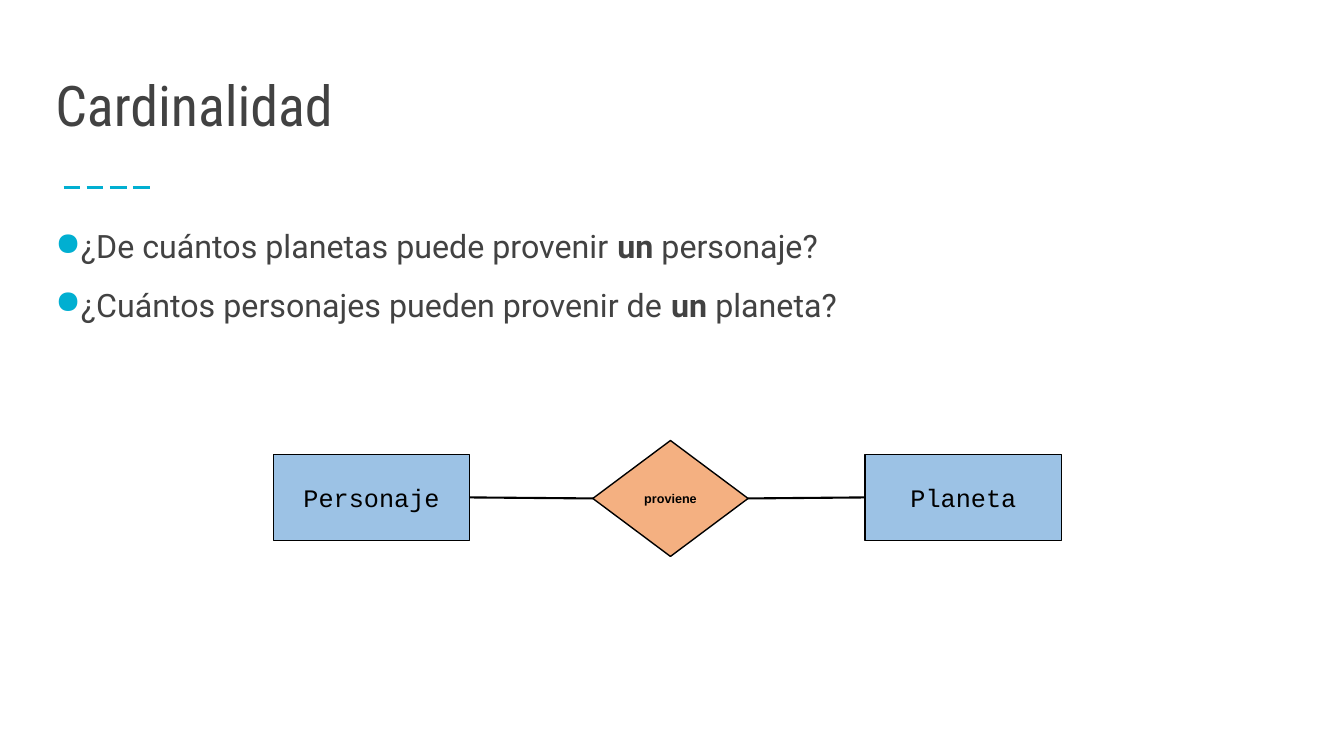
import lxml.etree
import pptx
import pptx.dml.color
import pptx.enum.dml
import pptx.enum.shapes
import pptx.enum.text
import pptx.oxml.ns
import pptx.util

Inches = pptx.util.Inches
Pt = pptx.util.Pt
RGBColor = pptx.dml.color.RGBColor
SHAPE = pptx.enum.shapes.MSO_SHAPE
MIDDLE = pptx.enum.text.MSO_ANCHOR.MIDDLE
LEFT_SIDE, RIGHT_SIDE = 1, 3

INK = RGBColor(0x42, 0x42, 0x42)
ACCENT = RGBColor(0x01, 0xAF, 0xD1)
BLACK = RGBColor(0, 0, 0)
ENTITY_BLUE = RGBColor(0x9C, 0xC2, 0xE5)
RELATION_ORANGE = RGBColor(0xF4, 0xB0, 0x81)


def apply(target, values):
    for name, value in values.items():
        setattr(target, name, value)


class SlideBuilder:
    title_font = {"name": "Roboto Condensed", "size": Pt(40)}
    body_font = {"name": "Roboto", "size": Pt(23)}
    entity_font = {"name": "Courier New", "size": Pt(18)}
    relation_font = {"name": "Arial", "size": Pt(9), "bold": True}

    def __init__(self, slide):
        self.slide = slide

    def add_text(self, paragraph, text, font, color):
        run = paragraph.add_run()
        run.text = text
        apply(run.font, font)
        run.font.color.rgb = color

    def text_frame(self, left, top, width, height, **frame_format):
        box = self.slide.shapes.add_textbox(
            Inches(left), Inches(top), Inches(width), Inches(height))
        apply(box.text_frame, {"word_wrap": True, **frame_format})
        return box.text_frame

    def title(self, text, *place):
        paragraph = self.text_frame(*place, vertical_anchor=MIDDLE).paragraphs[0]
        paragraph.line_spacing = 0.9
        self.add_text(paragraph, text, self.title_font, INK)

    def add_bullet(self, paragraph):
        properties = paragraph._p.get_or_add_pPr()
        properties.set("marL", str(Inches(0.25)))
        properties.set("indent", str(Inches(-0.25)))
        qn = pptx.oxml.ns.qn
        color = lxml.etree.SubElement(properties, qn("a:buClr"))
        lxml.etree.SubElement(color, qn("a:srgbClr")).set("val", str(ACCENT))
        lxml.etree.SubElement(properties, qn("a:buChar")).set("char", "●")

    def questions(self, items, *place):
        frame = self.text_frame(*place)
        for index, pieces in enumerate(items):
            paragraph = frame.add_paragraph() if index else frame.paragraphs[0]
            self.add_bullet(paragraph)
            paragraph.line_spacing = 1.15
            if index:
                paragraph.space_before = Pt(10)
            for position, piece in enumerate(pieces):
                font = {**self.body_font, "bold": position == 1}
                self.add_text(paragraph, piece, font, INK)

    def node(self, kind, text, fill, font, *place):
        node = self.slide.shapes.add_shape(kind, *map(Inches, place))
        node.shadow.inherit = False
        node.fill.solid()
        node.fill.fore_color.rgb = fill
        node.line.color.rgb = BLACK
        node.line.width = Pt(1)
        apply(node.text_frame, {"word_wrap": True, "vertical_anchor": MIDDLE})
        paragraph = node.text_frame.paragraphs[0]
        paragraph.alignment = pptx.enum.text.PP_ALIGN.CENTER
        self.add_text(paragraph, text, font, BLACK)
        return node

    def line(self, start, end, color):
        line = self.slide.shapes.add_connector(
            pptx.enum.shapes.MSO_CONNECTOR.STRAIGHT,
            *map(Inches, start + end))
        line.line.width = Pt(1.5)
        line.line.color.rgb = color
        lxml.etree.SubElement(
            line._element.spPr, pptx.oxml.ns.qn("a:effectLst"))
        return line

    def link(self, left_node, right_node):
        link = self.line((0, 0), (0, 0), BLACK)
        link.begin_connect(left_node, RIGHT_SIDE)
        link.end_connect(right_node, LEFT_SIDE)


def main():
    presentation = pptx.Presentation()
    presentation.slide_width = Inches(13.33)
    presentation.slide_height = Inches(7.5)
    builder = SlideBuilder(
        presentation.slides.add_slide(presentation.slide_layouts[6]))

    underline = builder.line((0.63, 1.86), (1.52, 1.86), ACCENT)
    underline.line.dash_style = pptx.enum.dml.MSO_LINE.LONG_DASH
    builder.title("Cardinalidad", 0.45, 0.54, 12.42, 1.07)
    builder.questions([
        ("¿De cuántos planetas puede provenir ", "un", " personaje?"),
        ("¿Cuántos personajes pueden provenir de ", "un", " planeta?"),
    ], 0.45, 2.14, 12.42, 1.71)

    character, planet = [
        builder.node(SHAPE.RECTANGLE, text, ENTITY_BLUE, builder.entity_font,
                     left, 4.51, 1.95, 0.85)
        for text, left in (("Personaje", 2.71), ("Planeta", 8.58))]
    origin = builder.node(SHAPE.DIAMOND, "proviene", RELATION_ORANGE,
                          builder.relation_font, 5.88, 4.37, 1.54, 1.15)
    builder.link(character, origin)
    builder.link(origin, planet)

    presentation.save("out.pptx")


if __name__ == "__main__":
    main()
